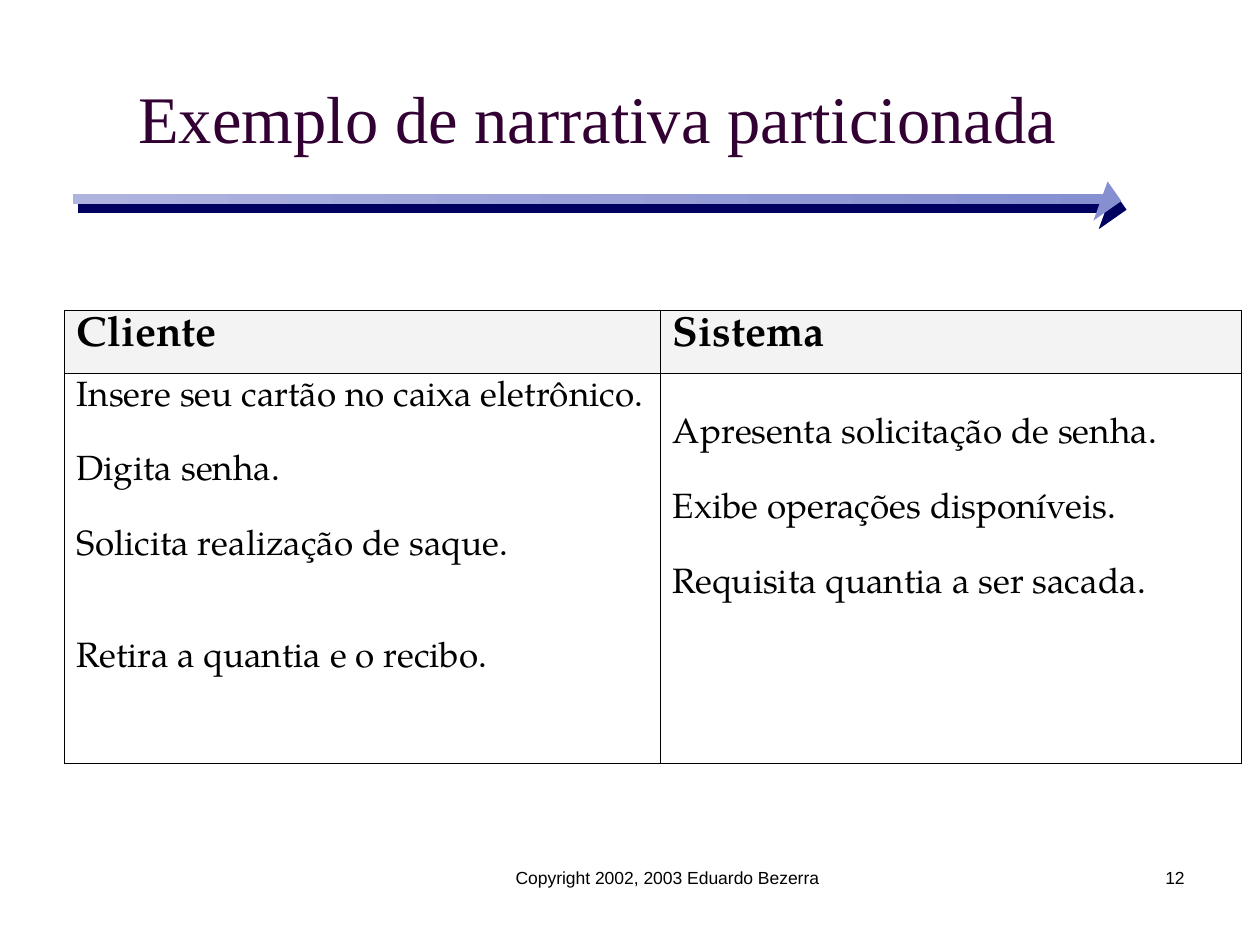
import pptx
import pptx.util
import pptx.dml.color
import pptx.enum.shapes
import pptx.enum.text
import pptx.oxml

In, Pt = pptx.util.Inches, pptx.util.Pt
RGB = pptx.dml.color.RGBColor
SHAPE = pptx.enum.shapes.MSO_SHAPE
ALIGN = pptx.enum.text.PP_ALIGN
ANCHOR = pptx.enum.text.MSO_ANCHOR
NS = 'xmlns:a="http://schemas.openxmlformats.org/drawingml/2006/main"'

# Content
TITLE = "Exemplo de narrativa particionada"
HEADERS = ["Cliente", "Sistema"]
# Each step: text, number of lines left free above it
STEPS = [
    [("Insere seu cartão no caixa eletrônico.", 0), ("Digita senha.", 1),
     ("Solicita realização de saque.", 1), ("Retira a quantia e o recibo.", 2)],
    [("Apresenta solicitação de senha.", 1), ("Exibe operações disponíveis.", 1),
     ("Requisita quantia a ser sacada.", 1)],
]
FOOTER = "Copyright 2002, 2003 Eduardo Bezerra"
PAGE = "12"

# Style
BLACK, PLUM = RGB(0, 0, 0), RGB(0x33, 0x00, 0x33)
BLUE, PALE_BLUE = RGB(0x86, 0x8F, 0xD0), RGB(0xAF, 0xB4, 0xDF)
NAVY, GREY = RGB(0, 0, 0x60), RGB(0xF3, 0xF3, 0xF3)
SERIF, BODY, SANS = "Times New Roman", "TeX Gyre Pagella", "Arial"
LINE, FREE_LINE = 21, 21.6      # points
INDENT = 0.38                   # inches
COLS, ROWS = [4.73, 4.61], [0.5, 3.1]

prs = pptx.Presentation()
prs.slide_width, prs.slide_height = In(10), In(7.5)
s = prs.slides.add_slide(prs.slide_layouts[6])


def style(p, font, size, color, align=ALIGN.LEFT, bold=False):
    p.alignment = align
    for r in p.runs:
        r.font.name, r.font.size, r.font.bold = font, Pt(size), bold
        r.font.color.rgb = color


def add_text(box, text, anchor, *look):
    tf = s.shapes.add_textbox(*map(In, box)).text_frame
    tf.word_wrap, tf.vertical_anchor = True, anchor
    tf.text = text
    style(tf.paragraphs[0], *look)


def add_bar_part(kind, *box):
    sp = s.shapes.add_shape(kind, *map(In, box))
    sp.line.fill.background()
    sp.fill.solid()
    sp.fill.fore_color.rgb = BLUE
    return sp


def add_shadow(sp):
    sp._element.spPr.append(pptx.oxml.parse_xml(
        f'<a:effectLst {NS}><a:outerShdw dist="{Pt(5.8)}" dir="{59 * 60000}" '
        f'algn="ctr" rotWithShape="0"><a:srgbClr val="{NAVY}"/>'
        '</a:outerShdw></a:effectLst>'))


def add_borders(cell):
    tcPr = cell._tc.get_or_add_tcPr()
    for i, side in enumerate(("lnL", "lnR", "lnT", "lnB")):
        tcPr.insert(i, pptx.oxml.parse_xml(
            f'<a:{side} {NS} w="{Pt(0.45)}"><a:solidFill>'
            f'<a:srgbClr val="{BLACK}"/></a:solidFill></a:{side}>'))


def hang(p):
    pPr = p._p.get_or_add_pPr()
    pPr.set("marL", str(In(INDENT)))
    pPr.set("indent", str(-In(INDENT)))


# Arrow under the title: fading bar and rotated head
bar = add_bar_part(SHAPE.RECTANGLE, 0.58, 1.54, 8.25, 0.08)
bar.fill.gradient()
bar.fill.gradient_angle = 180
for stop, color in zip(bar.fill.gradient_stops, (BLUE, PALE_BLUE)):
    stop.color.rgb = color
head = add_bar_part(SHAPE.ISOSCELES_TRIANGLE, 8.64, 1.46, 0.19, 0.27)
head.adjustments[0] = 0
head.rotation = 235
for sp in (bar, head):
    add_shadow(sp)

# Title
add_text((1, 0.3, 8.5, 1.25), TITLE, ANCHOR.MIDDLE, SERIF, 38, PLUM)

# Table: one column per actor
table = s.shapes.add_table(2, 2, In(0.51), In(2.46), In(sum(COLS)), In(sum(ROWS))).table
table.first_row = table.horz_banding = False
for row, height in zip(table.rows, ROWS):
    row.height = In(height)
for c, width in enumerate(COLS):
    table.columns[c].width = In(width)

    top = table.cell(0, c)
    top.text_frame.text = HEADERS[c]
    top.fill.solid()
    top.fill.fore_color.rgb = GREY
    p = top.text_frame.paragraphs[0]
    hang(p)
    style(p, BODY, 24, BLACK, ALIGN.JUSTIFY, True)

    body = table.cell(1, c)
    body.fill.background()
    body.text_frame.text = "\n".join(text for text, _ in STEPS[c])
    for i, (p, (_, free)) in enumerate(zip(body.text_frame.paragraphs, STEPS[c])):
        hang(p)
        style(p, BODY, 20, BLACK)
        p.line_spacing = Pt(LINE)
        if i:
            p.space_before = Pt(free * FREE_LINE)
        else:
            body.margin_top = In(0.05) + Pt(free * FREE_LINE)

    for cell in (top, body):
        add_borders(cell)

# Footer and page number
add_text((3.67, 6.83, 3.25, 0.5), FOOTER, ANCHOR.TOP, SANS, 10, BLACK, ALIGN.CENTER)
add_text((7.42, 6.83, 2.08, 0.5), PAGE, ANCHOR.TOP, SANS, 10, BLACK, ALIGN.RIGHT)

prs.save("out.pptx")
